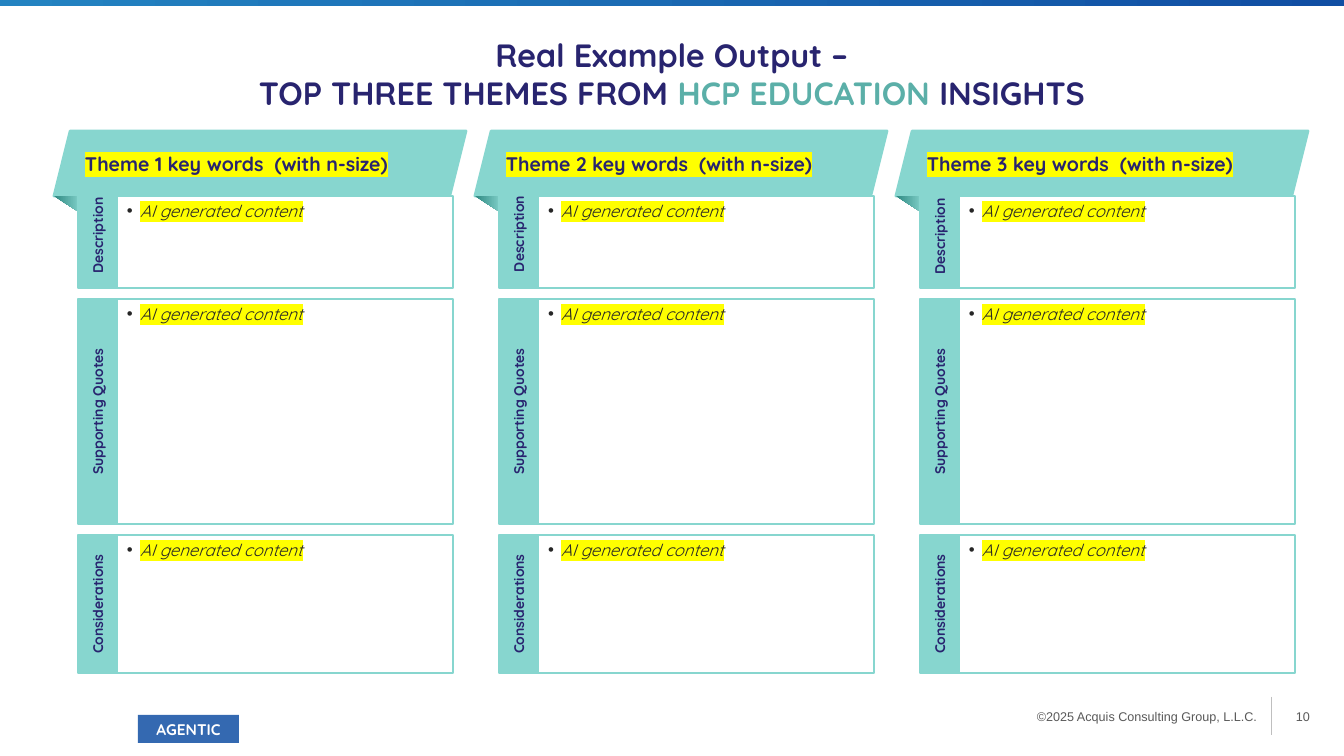
from pptx import Presentation
from pptx.dml.color import RGBColor
from pptx.enum.shapes import MSO_CONNECTOR, MSO_SHAPE
from pptx.enum.text import MSO_ANCHOR, MSO_AUTO_SIZE, PP_ALIGN
from pptx.oxml import parse_xml
from pptx.oxml.ns import nsdecls
from pptx.util import Emu, Pt

WIDTH, HEIGHT = 1344, 756
SCALE = 12192000 / WIDTH
COLORS = {
    "navy": "28246F", "teal": "87D6CF", "teal_text": "5BAFA8", "teal_dark": "2E8881",
    "white": "FFFFFF", "ink": "262626", "grey": "595959", "rule": "BFBFBF",
    "badge": "3469B1", "bar_left": "2383C1", "bar_right": "104EA3", "marker": "FFFF00",
}


def px(n):
    return Emu(round(n * SCALE))


def rgb(name):
    return RGBColor.from_string(COLORS[name])


def xml(tag, attrs="", inner=""):
    return parse_xml(f"<a:{tag} {nsdecls('a')} {attrs}>{inner}</a:{tag}>")


class SlideBuilder:
    def __init__(self, slide, font="Quicksand"):
        self.slide, self.shapes, self.font = slide, slide.shapes, font

    def frame(self, sp, anchor=MSO_ANCHOR.TOP, inset=(10, 5)):
        tf = sp.text_frame
        tf.word_wrap = True
        tf.auto_size = MSO_AUTO_SIZE.NONE
        tf.vertical_anchor = anchor
        tf.margin_left = tf.margin_right = px(inset[0])
        tf.margin_top = tf.margin_bottom = px(inset[1])
        return tf

    def style(self, r, size, color, bold=False, italic=False, font=None, marked=False):
        r.font.size, r.font.bold, r.font.italic = Pt(size), bold, italic
        r.font.name = font or self.font
        r.font.color.rgb = rgb(color)
        if marked:
            fill = r._r.get_or_add_rPr().solidFill
            fill.addnext(xml("highlight", inner=f'<a:srgbClr val="{COLORS["marker"]}"/>'))

    def label(self, sp, text, size, color, align=PP_ALIGN.LEFT, anchor=MSO_ANCHOR.TOP,
              inset=(10, 5), **look):
        tf = self.frame(sp, anchor, inset)
        tf.text = text
        p = tf.paragraphs[0]
        p.alignment = align
        self.style(p.runs[0], size, color, **look)
        return p

    def paint(self, sp, fill, line=None, weight=2):
        sp.shadow.inherit = False
        if isinstance(fill, tuple):
            sp.fill.gradient()
            sp.fill.gradient_angle = 0
            for stop, name in zip(sp.fill.gradient_stops, fill):
                stop.color.rgb = rgb(name)
        else:
            sp.fill.solid()
            sp.fill.fore_color.rgb = rgb(fill)
        if line:
            sp.line.color.rgb = rgb(line)
            sp.line.width = Pt(weight)
        else:
            sp.line.fill.background()
        return sp

    def shape(self, x, y, w, h, fill, line=None, weight=2, kind=MSO_SHAPE.RECTANGLE):
        sp = self.shapes.add_shape(kind, px(x), px(y), px(w), px(h))
        return self.paint(sp, fill, line, weight)

    def polygon(self, points, fill):
        fb = self.shapes.build_freeform(*points[0], scale=SCALE)
        fb.add_line_segments(points[1:], close=True)
        return self.paint(fb.convert_to_shape(), fill)

    def text(self, x, y, w, h, text, size, color, **look):
        sp = self.shapes.add_textbox(px(x), px(y), px(w), px(h))
        self.label(sp, text, size, color, **look)

    def rule(self, x, top, bottom):
        ln = self.shapes.add_connector(MSO_CONNECTOR.STRAIGHT, px(x), px(top), px(x), px(bottom))
        ln.line.color.rgb = rgb("rule")
        ln.line.width = Pt(0.75)
        ln._element.spPr.append(xml("effectLst"))

    def title(self, x, y, w, h, lines, size):
        sp = self.shapes.title
        sp.left, sp.top, sp.width, sp.height = px(x), px(y), px(w), px(h)
        tf = self.frame(sp)
        for i, pieces in enumerate(lines):
            p = tf.add_paragraph() if i else tf.paragraphs[0]
            p.alignment = PP_ALIGN.CENTER
            for text, color in pieces:
                r = p.add_run()
                r.text = text
                self.style(r, size, color, bold=True)

    def side_tab(self, x, top, w, bottom, text):
        length = bottom - top
        left, y = x + (w - length) / 2, top + (length - w) / 2
        sp = self.shape(left, y, length, w, "teal", "teal")
        sp.rotation = 270
        self.label(sp, text, 10, "navy", align=PP_ALIGN.CENTER,
                   anchor=MSO_ANCHOR.MIDDLE, bold=True)

    def bullet_box(self, x, y, w, h, text):
        sp = self.shape(x, y, w, h, "white", "teal", 1.75)
        p = self.label(sp, text, 12, "ink", italic=True, marked=True)
        pPr = p._p.get_or_add_pPr()
        pPr.set("marL", str(px(13)))
        pPr.set("indent", str(-px(13)))
        pPr.append(xml("buClr", inner=f'<a:srgbClr val="{COLORS["ink"]}"/>'))
        pPr.append(xml("buFont", 'typeface="Arial"'))
        pPr.append(xml("buChar", 'char="•"'))

    def theme(self, x, number, tab_top):
        # Folded ribbon heading
        self.shape(x, 131, 412, 65, "teal", "teal", kind=MSO_SHAPE.PARALLELOGRAM)
        self.polygon([(x, 196), (x + 25, 212), (x + 28, 196)], ("teal_dark", "teal"))
        self.text(x + 21, 147, 377, 34, f"Theme {number} key words  (with n-size)",
                  14, "navy", bold=True, marked=True)
        # Labelled sections
        for name, top, y, h in (("Description", tab_top, 196, 92),
                                ("Supporting Quotes", 299, 299, 225),
                                ("Considerations", 535, 535, 138)):
            self.side_tab(x + 24, top, 39, y + h, name)
            self.bullet_box(x + 63, y, 336, h, "AI generated content")


def main():
    prs = Presentation()
    prs.slide_width, prs.slide_height = px(WIDTH), px(HEIGHT)
    s = SlideBuilder(prs.slides.add_slide(prs.slide_layouts[5]))

    # Top bar and footer
    s.shape(0, 0, WIDTH, 6, ("bar_left", "bar_right"))
    footer = dict(align=PP_ALIGN.RIGHT, anchor=MSO_ANCHOR.MIDDLE, inset=(0, 0), font="Arial")
    s.text(1287, 685, 23, 63, "10", 9, "grey", **footer)
    s.text(977, 685, 280, 63, "©2025 Acquis Consulting Group, L.L.C.", 9, "grey", **footer)
    s.rule(1272, 697, 735)
    badge = s.shape(138, 715, 101, 28, "badge")
    s.label(badge, "AGENTIC", 11, "white", align=PP_ALIGN.CENTER,
            anchor=MSO_ANCHOR.MIDDLE, inset=(0, 0), bold=True)

    # Title
    s.title(0, 30, WIDTH, 127, [
        [("Real Example Output –", "navy")],
        [("TOP THREE THEMES FROM ", "navy"), ("HCP EDUCATION ", "teal_text"),
         ("INSIGHTS", "navy")],
    ], 23)

    # Theme columns
    for i, tab_top in enumerate((183, 180, 185)):
        s.theme(54 + 421 * i, i + 1, tab_top)

    prs.save("out.pptx")


if __name__ == "__main__":
    main()
